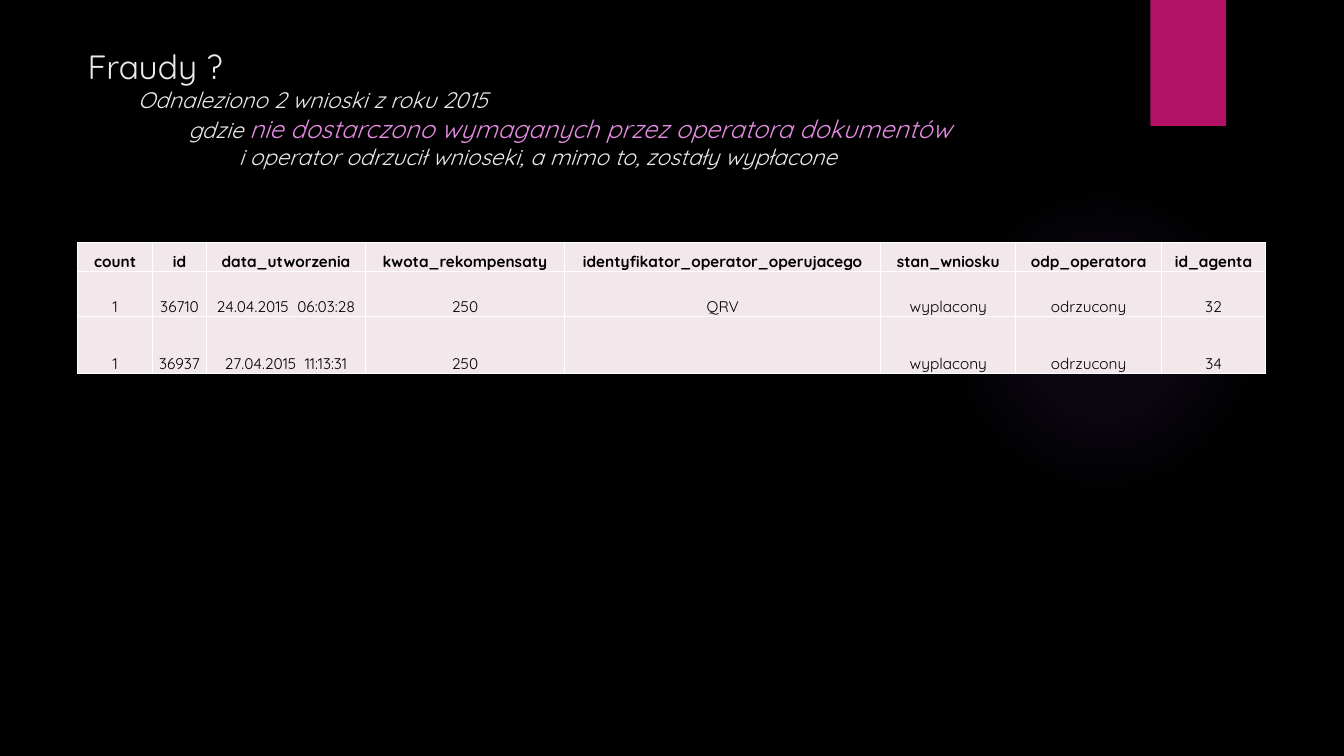
from lxml.etree import SubElement
from pptx import Presentation
from pptx.dml.color import RGBColor
from pptx.enum.shapes import MSO_SHAPE
from pptx.enum.text import MSO_ANCHOR, PP_ALIGN
from pptx.oxml import parse_xml
from pptx.oxml.ns import nsdecls, qn
from pptx.util import Pt

FONT = "Quicksand"
BLACK = RGBColor(0x00, 0x00, 0x00)
WHITE = RGBColor(0xFF, 0xFF, 0xFF)
LIGHT = RGBColor(0xEB, 0xEB, 0xEB)
PINK = RGBColor(0xE6, 0x8B, 0xE3)
MAGENTA = RGBColor(0xB3, 0x11, 0x66)
VIOLET = RGBColor(0x9B, 0x6B, 0xF2)
CELL = RGBColor(0xF2, 0xE7, 0xEA)

# Each line holds runs of (text, size, colour)
TITLE = [
    [("Fraudy ?", 24, LIGHT)],
    [("Odnaleziono 2 wnioski z roku 2015", 16, LIGHT)],
    [("gdzie ", 16, LIGHT),
     ("nie dostarczono wymaganych przez operatora dokumentów", 18, PINK)],
    [("i operator odrzucił wnioseki, a mimo to, zostały wypłacone", 16, LIGHT)],
]
ROWS = [
    ["count", "id", "data_utworzenia", "kwota_rekompensaty",
     "identyfikator_operator_operujacego", "stan_wniosku", "odp_operatora", "id_agenta"],
    ["1", "36710", "24.04.2015  06:03:28", "250", "QRV", "wyplacony", "odrzucony", "32"],
    ["1", "36937", "27.04.2015  11:13:31", "250", "", "wyplacony", "odrzucony", "34"],
]
COL_WIDTHS = [53.5, 38.6, 113.5, 142.3, 225.8, 96.5, 104, 74.5]
ROW_HEIGHTS = [20.5, 32.2, 41.2]


def add_plain_shape(s, kind, left, top, width, height):
    sp = s.shapes.add_shape(kind, Pt(left), Pt(top), Pt(width), Pt(height))
    sp.shadow.inherit = False
    sp.line.fill.background()
    return sp


def add_decoration(s, width):
    # Soft glow fading out from its centre
    glow = add_plain_shape(s, MSO_SHAPE.OVAL, width - 282.5, 131.8, 221.8, 221.8)
    stops = "".join(
        f'<a:gs pos="{pos * 1000}"><a:srgbClr val="{VIOLET}">'
        f'<a:alpha val="{alpha * 1000}"/></a:srgbClr></a:gs>'
        for pos, alpha in [(0, 7), (36, 6), (69, 0), (100, 0)])
    geometry = glow.element.spPr.find(qn("a:prstGeom"))
    geometry.addnext(parse_xml(
        f'<a:gradFill {nsdecls("a")}><a:gsLst>{stops}</a:gsLst><a:path path="circle">'
        '<a:fillToRect l="50000" t="50000" r="50000" b="50000"/></a:path></a:gradFill>'))
    # Ribbon hanging from the top edge
    ribbon = add_plain_shape(s, MSO_SHAPE.RECTANGLE, width - 138.2, 0, 54, 90)
    ribbon.fill.solid()
    ribbon.fill.fore_color.rgb = MAGENTA


def add_title(s, left, top, width, height):
    tf = s.shapes.add_textbox(Pt(left), Pt(top), Pt(width), Pt(height)).text_frame
    tf.word_wrap = True
    tf.margin_top = tf.margin_bottom = 0
    for i, line in enumerate(TITLE):
        p = tf.paragraphs[0] if i == 0 else tf.add_paragraph()
        p.line_spacing = 1.0
        # Every line steps half an inch further in
        p._p.get_or_add_pPr().set("marL", str(Pt(36 * i)))
        for text, size, color in line:
            r = p.add_run()
            r.text = text
            r.font.name = FONT
            r.font.size = Pt(size)
            r.font.italic = i > 0
            r.font.color.rgb = color


def style_cell(cell, text, bold):
    cell.vertical_anchor = MSO_ANCHOR.BOTTOM
    cell.margin_left = cell.margin_right = cell.margin_top = Pt(0.7)
    cell.margin_bottom = 0
    tc_pr = cell._tc.get_or_add_tcPr()
    for side in ("lnL", "lnR", "lnT", "lnB"):
        ln = SubElement(tc_pr, qn(f"a:{side}"), w=str(Pt(1)))
        SubElement(SubElement(ln, qn("a:solidFill")), qn("a:srgbClr"), val=str(WHITE))
    cell.fill.solid()
    cell.fill.fore_color.rgb = CELL
    p = cell.text_frame.paragraphs[0]
    p.text = text
    p.alignment = PP_ALIGN.CENTER
    p.font.size = Pt(11)
    for r in p.runs:
        r.font.name = FONT
        r.font.size = Pt(11)
        r.font.bold = bold
        r.font.color.rgb = BLACK


def add_claims_table(s, left, top):
    table = s.shapes.add_table(
        len(ROWS), len(COL_WIDTHS), Pt(left), Pt(top),
        Pt(sum(COL_WIDTHS)), Pt(sum(ROW_HEIGHTS))).table
    table.first_row = table.horz_banding = False
    for column, width in zip(table.columns, COL_WIDTHS):
        column.width = Pt(width)
    for i, (row, height) in enumerate(zip(table.rows, ROW_HEIGHTS)):
        row.height = Pt(height)
        for cell, text in zip(row.cells, ROWS[i]):
            style_cell(cell, text, bold=i == 0)


def main():
    prs = Presentation()
    prs.slide_width, prs.slide_height = Pt(960), Pt(540)
    s = prs.slides.add_slide(prs.slide_layouts[6])
    s.background.fill.solid()
    s.background.fill.fore_color.rgb = BLACK
    add_decoration(s, 960)
    add_title(s, 55.5, 33, 740, 94)
    add_claims_table(s, 55.5, 173.2)
    prs.save("out.pptx")


if __name__ == "__main__":
    main()
